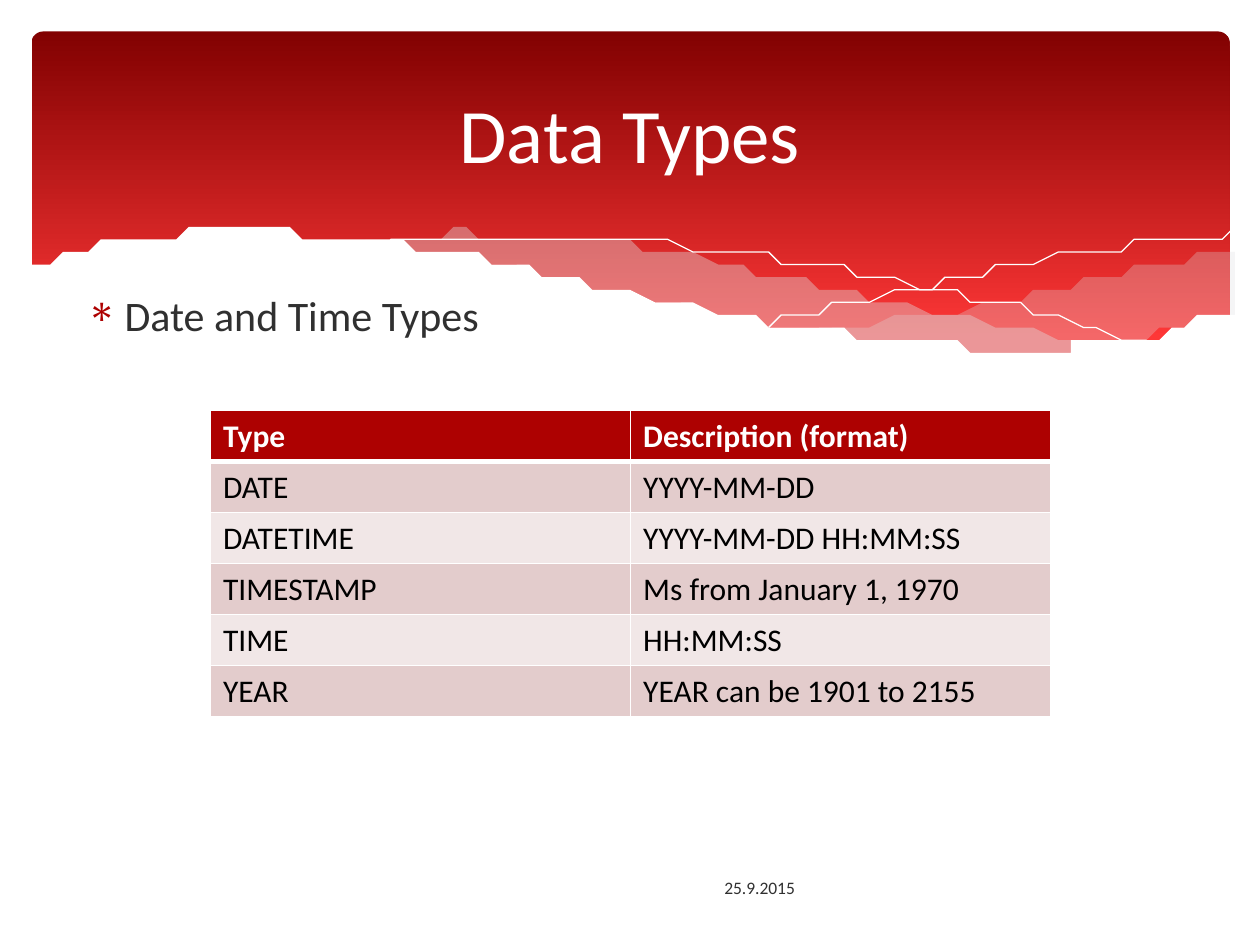
"""Build the "Data Types" slide: a red wave banner above a table of date and time types."""
from lxml.etree import SubElement
from pptx import Presentation
from pptx.dml.color import RGBColor as RGB
from pptx.enum.shapes import MSO_SHAPE as Preset
from pptx.enum.text import MSO_ANCHOR as Anchor, PP_ALIGN as Align
from pptx.oxml import parse_xml
from pptx.oxml.ns import nsdecls, qn
from pptx.util import Inches, Pt

COLORS = {
    "dark": "820101", "bright": "FE3737", "accent": "AD0101", "mist": "DEDEE0",
    "white": "FFFFFF", "black": "000000", "text": "303030",
    "odd": "E3CCCC", "even": "F1E7E7",
}
FONT = "Calibri"

deck = Presentation()
deck.slide_width, deck.slide_height = Inches(10), Inches(7.5)
CELL = deck.slide_width / 100
slide = deck.slides.add_slide(deck.slide_layouts[6])
shapes = slide.shapes


def curve(knots, steps=6):
    ends = [knots[0], *knots, knots[-1]]
    points = [knots[0]]
    for a, b, c, d in zip(ends, ends[1:], ends[2:], ends[3:]):
        for t in (step / steps for step in range(1, steps + 1)):
            points.append(tuple(
                q + t / 2 * (r - p + t * (2 * p - 5 * q + 4 * r - s + t * (3 * q - p - 3 * r + s)))
                for p, q, r, s in zip(a, b, c, d)))
    return points


def write(paragraph, words, size, color, bold=False):
    run = paragraph.add_run()
    run.text = words
    run.font.name, run.font.size, run.font.bold = FONT, Pt(size), bold
    run.font.color.rgb = RGB.from_string(COLORS[color])


banner = shapes.add_shape(Preset.ROUNDED_RECTANGLE, *(int(n * CELL) for n in (2.5, 2.5, 95.1, 27)))
banner.adjustments[0] = 0.034
banner.shadow.inherit = False
banner.line.fill.background()
banner.fill.gradient()
banner.fill.gradient_angle = 270
for stop, position, shade in zip(banner.fill.gradient_stops, (0, 0.9), ("dark", "bright")):
    stop.position = position
    stop.color.rgb = RGB.from_string(COLORS[shade])

right_wave = (
    curve([(97.6, 20), (92.1, 21), (86.1, 22.3), (77.9, 24.2), (66.1, 26.5)])
    + curve([(66.1, 26.5), (73.2, 27.4), (80.3, 27.8), (86.3, 27.5), (92.1, 26.5), (97.6, 24.7)]))
long_wave = (
    curve([(89.3, 27.3), (80.7, 26), (70.6, 24), (62.9, 22.2), (55.5, 20.5), (46.5, 19.1),
           (38, 18.5), (32.8, 18.7), (28.6, 19.1)])
    + curve([(28.6, 19.1), (36.2, 20.3), (44.9, 22.2), (53, 24), (61.8, 25.8), (70.9, 27.2),
             (79.6, 27.8), (85.7, 27.7), (89.3, 27.3)]))
falling_line = curve([(30.9, 19.5), (36.3, 18.9), (43.3, 18.7), (51, 19.2), (58.2, 20),
                      (66.5, 21.3), (76, 23.3), (83.1, 25.1), (90.7, 27.2)])
rising_line = curve([(61.3, 25.7), (69.5, 23.5), (77.6, 21.6), (86.6, 19.9), (92.4, 19), (97.5, 18.5)])
white_wave = (
    curve([(97.7, 24.6), (92, 26.5), (86.3, 27.4), (80.9, 27.7), (74.4, 27.4), (66.8, 26.5),
           (60.3, 25.4), (52.9, 23.9), (44.7, 22), (36.5, 20.2), (29.2, 19), (23, 18.5),
           (17.7, 18.4), (13.2, 18.6), (9.5, 19.1), (5.9, 19.9), (2.3, 21.3)])
    + [(2.3, 32.9), (97.7, 32.9)])

for points, fill, opacity in (
    (right_wave, "mist", 29), (long_wave, "mist", 40),
    (falling_line, None, 100), (rising_line, None, 100), (white_wave, "white", 100),
):
    start, *others = points
    builder = shapes.build_freeform(*start, scale=CELL)
    builder.add_line_segments(others, close=bool(fill))
    wave = builder.convert_to_shape()
    wave.shadow.inherit = False
    if fill:
        wave.fill.solid()
        wave.fill.fore_color.rgb = RGB.from_string(COLORS[fill])
        wave.line.fill.background()
        tint = wave.fill._xPr.find(qn("a:solidFill"))[0]
        SubElement(tint, qn("a:alpha"), val=str(opacity * 1000))
    else:
        wave.fill.background()
        wave.line.color.rgb = RGB.from_string(COLORS["white"])
        wave.line.width = 0

for words, area, size, color, anchor, align in (
    ("Date and Time Types", (5.9, 22.5, 89, 44.5), 24, "text", Anchor.TOP, Align.LEFT),
    ("25.9.2015", (56.5, 68.4, 41.4, 4), 10, "text", Anchor.MIDDLE, Align.LEFT),
    ("Data Types", (5, 3.7, 90, 13.7), 44, "white", Anchor.MIDDLE, Align.CENTER),
):
    frame = shapes.add_textbox(*(int(n * CELL) for n in area)).text_frame
    frame.word_wrap, frame.vertical_anchor = True, anchor
    line = frame.paragraphs[0]
    line.alignment = align
    write(line, words, size, color)
    if anchor == Anchor.TOP:
        line.space_before = Pt(4.8)
        layout = line._p.get_or_add_pPr()
        layout.set("marL", str(int(3 * CELL)))
        layout.set("indent", str(int(-3 * CELL)))
        bullet_color = SubElement(layout, qn("a:buClr"))
        SubElement(bullet_color, qn("a:srgbClr"), val=COLORS["accent"])
        SubElement(layout, qn("a:buChar"), char="∗")

types = [
    ("Type", "Description (format)"),
    ("DATE", "YYYY-MM-DD"),
    ("DATETIME", "YYYY-MM-DD HH:MM:SS"),
    ("TIMESTAMP", "Ms from January 1, 1970"),
    ("TIME", "HH:MM:SS"),
    ("YEAR", "YEAR can be 1901 to 2155"),
]
area = (int(n * CELL) for n in (16.7, 32.6, 66.7, 24.3))
table = shapes.add_table(len(types), 2, *area).table
for row, entry in enumerate(types):
    header = row == 0
    for column, words in enumerate(entry):
        cell = table.cell(row, column)
        cell.fill.solid()
        shade = "accent" if header else "odd" if row % 2 else "even"
        cell.fill.fore_color.rgb = RGB.from_string(COLORS[shade])
        write(cell.text_frame.paragraphs[0], words, 18, "white" if header else "black", header)
        widths = {"L": 1, "R": 1, "T": 3 if row == 1 else 1, "B": 3 if header else 1}
        for place, (side, width) in enumerate(widths.items()):
            cell._tc.get_or_add_tcPr().insert(place, parse_xml(
                f'<a:ln{side} {nsdecls("a")} w="{Pt(width)}"><a:solidFill>'
                f'<a:srgbClr val="{COLORS["white"]}"/></a:solidFill></a:ln{side}>'))

deck.save("out.pptx")
